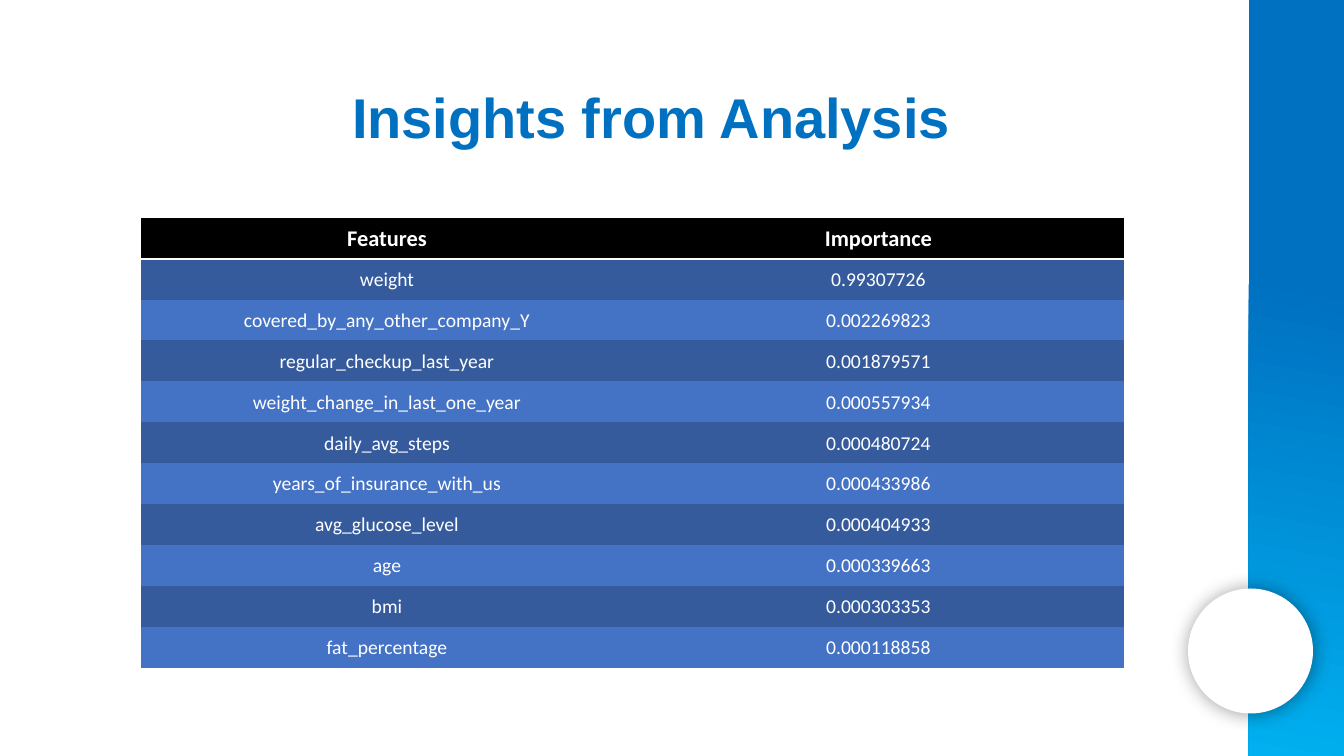
from pptx import Presentation
from pptx.dml.color import RGBColor
from pptx.enum.shapes import MSO_SHAPE as Shape
from pptx.enum.text import MSO_ANCHOR as Anchor, PP_ALIGN as Align
from pptx.oxml import parse_xml
from pptx.oxml.ns import nsdecls, qn
from pptx.util import Cm, Pt

WHITE = RGBColor(0xFF, 0xFF, 0xFF)
BLACK = RGBColor(0x00, 0x00, 0x00)
BLUE = RGBColor(0x00, 0x70, 0xC0)
SKY = RGBColor(0x00, 0xB0, 0xF0)
BAND_DARK = RGBColor(0x36, 0x5B, 0x9D)
BAND_LIGHT = RGBColor(0x44, 0x72, 0xC4)
NO_GRID_STYLE = "{2D5ABB26-0587-4C30-8999-92F81FD0307C}"

FEATURE_ROWS = [
    ("Features", "Importance"),
    ("weight", "0.99307726"),
    ("covered_by_any_other_company_Y", "0.002269823"),
    ("regular_checkup_last_year", "0.001879571"),
    ("weight_change_in_last_one_year", "0.000557934"),
    ("daily_avg_steps", "0.000480724"),
    ("years_of_insurance_with_us", "0.000433986"),
    ("avg_glucose_level", "0.000404933"),
    ("age", "0.000339663"),
    ("bmi", "0.000303353"),
    ("fat_percentage", "0.000118858"),
]

deck = Presentation()
deck.slide_width, deck.slide_height = Cm(33.87), Cm(19.05)
slide = deck.slides.add_slide(deck.slide_layouts[6])

# Gradient band on the right edge
side_band = slide.shapes.add_shape(Shape.RECTANGLE, Cm(31.47), 0, Cm(2.4), Cm(19.05))
side_band.shadow.inherit = False
side_band.line.fill.background()
side_band.fill.gradient()
side_band.fill.gradient_angle = 260
for stop, color, position in zip(side_band.fill.gradient_stops, (BLUE, SKY), (0.37, 1)):
    stop.color.rgb = color
    stop.position = position

# White disc with a soft shadow
disc = slide.shapes.add_shape(Shape.OVAL, Cm(29.94), Cm(14.83), Cm(3.15), Cm(3.15))
disc.shadow.inherit = False
disc.fill.solid()
disc.fill.fore_color.rgb = WHITE
disc.line.fill.background()
disc.element.spPr.find(qn("a:effectLst")).append(parse_xml(
    f'<a:outerShdw {nsdecls("a")} blurRad="{Pt(14)}" dist="{Pt(1)}" dir="2580000" '
    'algn="ctr" rotWithShape="0"><a:srgbClr val="000000"><a:alpha val="40000"/>'
    '</a:srgbClr></a:outerShdw>'))

# Title
title = slide.shapes.add_textbox(Cm(1.57), Cm(1.96), Cm(29.67), Cm(1.96)).text_frame
title.word_wrap = True
heading = title.paragraphs[0]
heading.text = "Insights from Analysis"
heading.alignment = Align.CENTER
heading.font.name = "Arial"
heading.font.size = Pt(40)
heading.font.bold = True
heading.font.color.rgb = BLUE

# Feature importance table
frame = slide.shapes.add_table(len(FEATURE_ROWS), 2, Cm(3.56), Cm(5.49), Cm(24.77), Cm(11.33))
importance = frame.table
next(frame.element.iter(qn("a:tableStyleId"))).text = NO_GRID_STYLE
for row_index, row in enumerate(FEATURE_ROWS):
    is_header = row_index == 0
    band = BLACK if is_header else (BAND_LIGHT, BAND_DARK)[row_index % 2]
    for column_index, text in enumerate(row):
        cell = importance.cell(row_index, column_index)
        cell.fill.solid()
        cell.fill.fore_color.rgb = band
        cell.vertical_anchor = Anchor.MIDDLE
        cell.margin_left = cell.margin_right = cell.margin_top = Cm(0.03)
        cell.margin_bottom = 0
        entry = cell.text_frame.paragraphs[0]
        entry.text = text
        entry.alignment = Align.CENTER
        entry.font.name = "Calibri"
        entry.font.size = Pt(16 if is_header else 14)
        entry.font.bold = is_header
        entry.font.color.rgb = WHITE
        if is_header:
            cell.fill  # the border element must come before the fill
            cell._tc.tcPr.insert(0, parse_xml(
                f'<a:lnB {nsdecls("a")} w="{Pt(2)}"><a:solidFill>'
                f'<a:srgbClr val="{WHITE}"/></a:solidFill></a:lnB>'))

deck.save("out.pptx")
